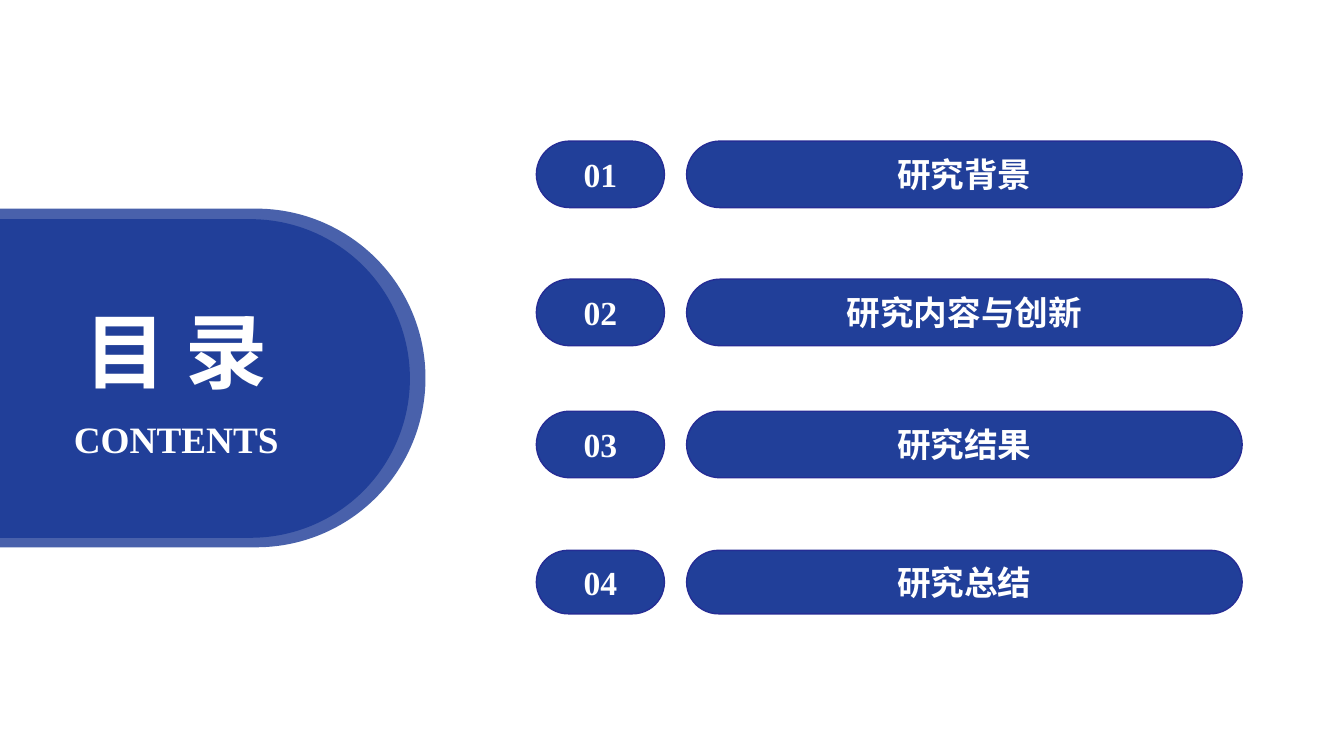
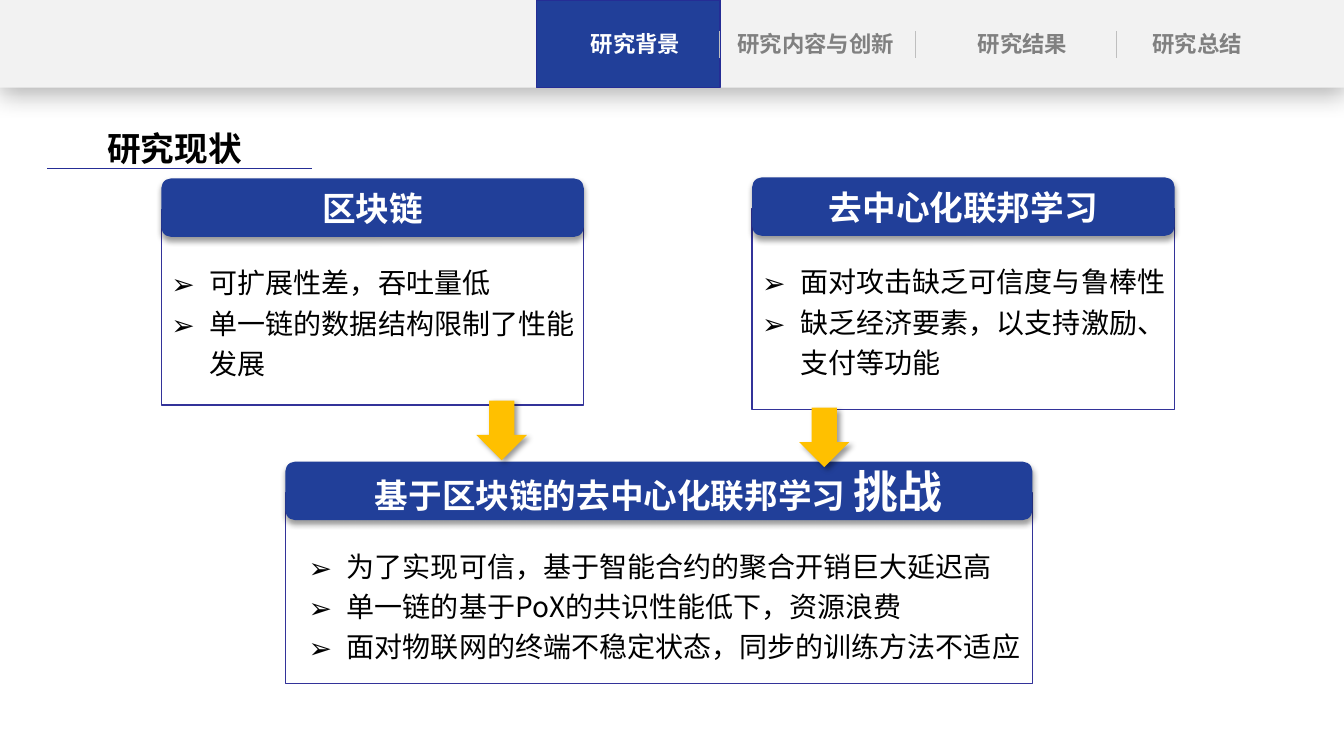
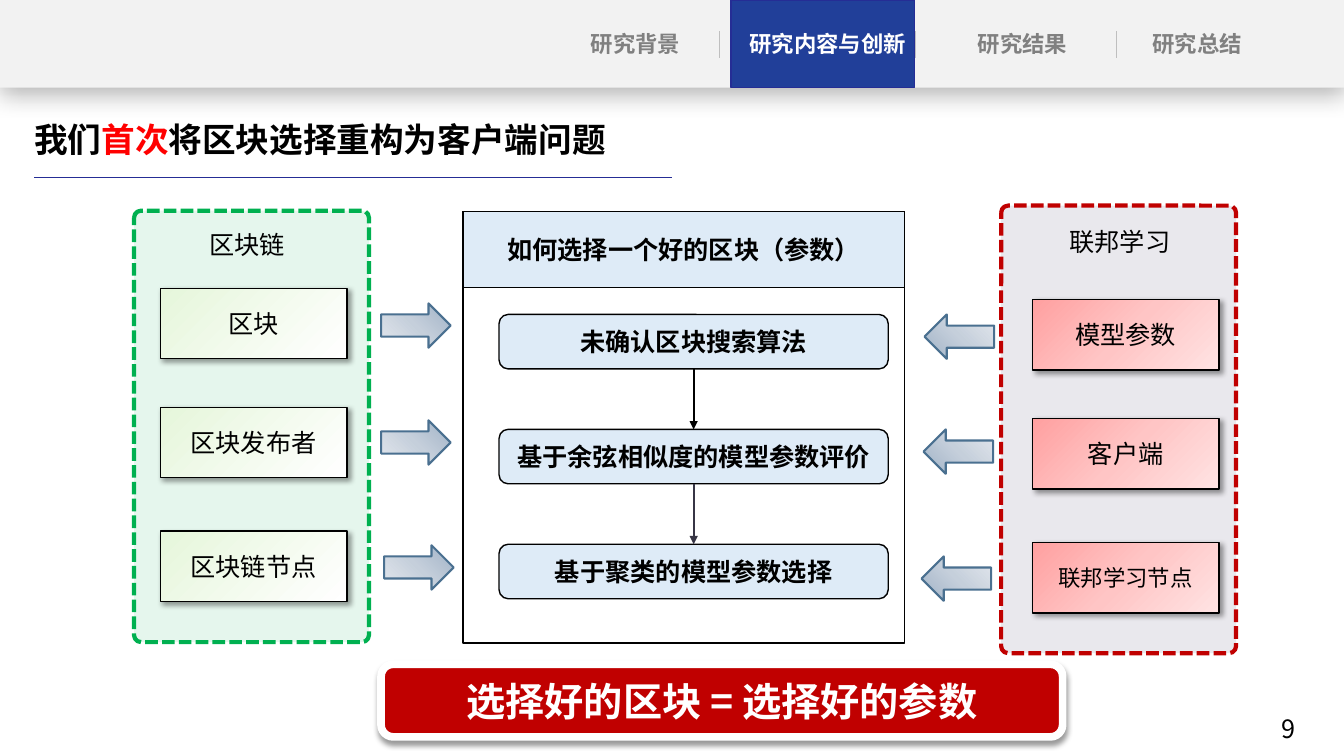
from dataclasses import dataclass, replace
from typing import NamedTuple, Optional

import lxml.etree
import pptx
import pptx.dml.color
import pptx.enum.dml
import pptx.enum.shapes
import pptx.enum.text
import pptx.oxml.ns
import pptx.util

RGBColor = pptx.dml.color.RGBColor
Align = pptx.enum.text.PP_ALIGN
Anchor = pptx.enum.text.MSO_ANCHOR
Kind = pptx.enum.shapes.MSO_SHAPE
Dash = pptx.enum.dml.MSO_LINE
qn = pptx.oxml.ns.qn

# Shared colours and fonts
BLUE = RGBColor(0x21, 0x3F, 0x99)
NAVY = RGBColor(0x25, 0x2D, 0x95)
FRAME = RGBColor(0x33, 0x33, 0x99)
WHITE = RGBColor(0xFF, 0xFF, 0xFF)
BLACK = RGBColor(0x00, 0x00, 0x00)
SLATE = RGBColor(0x37, 0x35, 0x45)
GREY = RGBColor(0x80, 0x80, 0x80)
SILVER = RGBColor(0xBF, 0xBF, 0xBF)
PALE = RGBColor(0xF2, 0xF2, 0xF2)
ICE = RGBColor(0xDE, 0xEB, 0xF7)
AMBER = RGBColor(0xFF, 0xC0, 0x00)
RED = RGBColor(0xFF, 0x00, 0x00)
CRIMSON = RGBColor(0xC0, 0x00, 0x00)
GREEN = RGBColor(0x00, 0xB0, 0x50)
LILAC = RGBColor(0xD4, 0xD3, 0xDD)
STEEL = RGBColor(0x4A, 0x70, 0x90)
MINTS = (RGBColor(0xE6, 0xF6, 0xDB), WHITE)
PINKS = (RGBColor(0xFF, 0xA0, 0xA0), RGBColor(0xFF, 0xC5, 0xC5), RGBColor(0xFF, 0xE3, 0xE3))
STEELS = (RGBColor(0xA0, 0xB2, 0xC7), RGBColor(0xC5, 0xCF, 0xDB), RGBColor(0xE3, 0xE7, 0xED))
SANS = "Noto Sans CJK SC"
SERIF = "Times New Roman"
WIDE = 13.33


class Box(NamedTuple):
    left: float
    top: float
    width: float
    height: float


class Shade(NamedTuple):
    alpha: int
    blur: int
    dist: int
    angle: int


@dataclass(frozen=True)
class Look:
    fill: Optional[RGBColor] = None
    alpha: int = 100
    stops: tuple[RGBColor, ...] = ()
    slant: int = 45
    line: Optional[RGBColor] = None
    weight: float = 1
    dash: Optional[Dash] = None
    shade: Optional[Shade] = None


@dataclass(frozen=True)
class Face:
    size: float
    color: RGBColor = BLACK
    bold: bool = True
    font: str = SANS


class Tab(NamedTuple):
    name: str
    left: float
    width: float
    lit: float
    block: float


class Panel(NamedTuple):
    left: float
    top: float
    width: float
    base: float
    shift: float
    slot: int
    head: str
    items: tuple[str, ...]


class Side(NamedTuple):
    box: Box
    look: Look
    label: str
    label_box: Box
    left: float
    stops: tuple[RGBColor, ...]
    cards: tuple[tuple[str, float, int], ...]
    arrows: tuple[tuple[float, float], ...]
    turn: int


DROP = Shade(40, 4, 3, 90)
SLOPE = Shade(40, 4, 3, 45)
PILL = Look(BLUE, line=NAVY)
HEAD = Look(BLUE, shade=DROP)
TITLE = Face(24)
LABEL = Face(24, WHITE)
PLAIN = Face(18, bold=False)
STRONG = Face(18)
POINT = Face(20, bold=False)

TABS = (
    Tab("研究背景", 5.57, 1.47, 5.57, 5.32),
    Tab("研究内容与创新", 7.19, 1.8, 7.31, 7.25),
    Tab("研究结果", 9.23, 1.82, 9.23, 9.23),
    Tab("研究总结", 11.14, 1.47, 11.14, 11.14),
)


def inches(values) -> list:
    return [pptx.util.Inches(value) for value in values]


def node(parent, tag: str, **attrs):
    return lxml.etree.SubElement(parent, qn(tag), {key: str(val) for key, val in attrs.items()})


# Text
def style(run, face: Face) -> None:
    font = run.font
    font.size = pptx.util.Pt(face.size)
    font.bold = face.bold
    font.color.rgb = face.color
    font.name = face.font
    node(run._r.get_or_add_rPr(), "a:ea", typeface=face.font)


def write(shape, text: str, face: Face, align=Align.CENTER) -> None:
    shape.text_frame.text = text
    for para in shape.text_frame.paragraphs:
        para.alignment = align
        for run in para.runs:
            style(run, face)


def extend(shape, text: str, face: Face) -> None:
    run = shape.text_frame.paragraphs[0].add_run()
    run.text = text
    style(run, face)


def settle(shape, inset: float = 0.1, wrap: bool = True) -> None:
    frame = shape.text_frame
    frame.word_wrap = wrap
    frame.auto_size = pptx.enum.text.MSO_AUTO_SIZE.NONE
    frame.vertical_anchor = Anchor.TOP
    frame.margin_left = frame.margin_right = pptx.util.Inches(inset)


def label(slide, box: Box, text: str, face: Face, align=Align.CENTER,
          inset: float = 0.1, wrap: bool = True) -> None:
    shape = slide.shapes.add_textbox(*inches(box))
    settle(shape, inset, wrap)
    write(shape, text, face, align)


def place(shape, box: Box, inset: float = 0.1, wrap: bool = True) -> None:
    """Move a placeholder and bring it to the front."""
    shape.left, shape.top, shape.width, shape.height = inches(box)
    shape.element.getparent().append(shape.element)
    settle(shape, inset, wrap)


def title(slide, box: Box, text: str, face: Face = TITLE, align=Align.CENTER, wrap: bool = True):
    shape = slide.shapes.title
    place(shape, box, 0, wrap)
    write(shape, text, face, align)
    return shape


def bullets(shape, box: Box, items: tuple[str, ...]) -> None:
    place(shape, box)
    # A slim right inset keeps the longest item on one line
    shape.text_frame.margin_right = pptx.util.Inches(0.05)
    write(shape, "\n".join(items), POINT, Align.LEFT)
    for para in shape.text_frame.paragraphs:
        para.line_spacing = 1.2
        para.space_before = pptx.util.Pt(0)
        props = para._p.get_or_add_pPr()
        hang = pptx.util.Inches(0.38)
        props.set("marL", str(hang))
        props.set("indent", str(-hang))
        node(props, "a:buFont", typeface=SANS)
        node(props, "a:buChar", char="➢")


# Shapes and lines
def draw(slide, kind: Kind, box: Box, look: Look, text: str = "", face: Face = LABEL,
         adjust: Optional[float] = None, turn: int = 0):
    shape = slide.shapes.add_shape(kind, *inches(box))
    shape.rotation = turn
    shape.shadow.inherit = False
    if adjust is not None:
        shape.adjustments[0] = adjust
    props = shape.element.spPr
    if look.stops:
        grad = lxml.etree.Element(qn("a:gradFill"), rotWithShape="1")
        stops = node(grad, "a:gsLst")
        for num, color in enumerate(look.stops):
            stop = node(stops, "a:gs", pos=num * 100000 // (len(look.stops) - 1))
            node(stop, "a:srgbClr", val=color)
        node(grad, "a:lin", ang=look.slant * 60000, scaled=0)
        props.find(qn("a:prstGeom")).addnext(grad)
    elif look.fill is None:
        shape.fill.background()
    else:
        shape.fill.solid()
        shape.fill.fore_color.rgb = look.fill
        if look.alpha < 100:
            color = props.find(qn("a:solidFill")).find(qn("a:srgbClr"))
            node(color, "a:alpha", val=look.alpha * 1000)
    if look.line is None:
        shape.line.fill.background()
    else:
        shape.line.color.rgb = look.line
        shape.line.width = pptx.util.Pt(look.weight)
        if look.dash is not None:
            shape.line.dash_style = look.dash
    if look.shade:
        cast = node(props.find(qn("a:effectLst")), "a:outerShdw",
                    blurRad=pptx.util.Pt(look.shade.blur), dist=pptx.util.Pt(look.shade.dist),
                    dir=look.shade.angle * 60000, algn="ctr", rotWithShape=0)
        node(node(cast, "a:srgbClr", val=BLACK), "a:alpha", val=look.shade.alpha * 1000)
    if text:
        shape.text_frame.vertical_anchor = Anchor.MIDDLE
        write(shape, text, face)
    return shape


def rule(slide, start: tuple[float, float], end: tuple[float, float], color: RGBColor,
         weight: float = 1, arrow: bool = False) -> None:
    line = slide.shapes.add_connector(
        pptx.enum.shapes.MSO_CONNECTOR.STRAIGHT, *inches(start + end))
    line.line.color.rgb = color
    line.line.width = pptx.util.Pt(weight)
    props = line.element.spPr
    if arrow:
        node(props.find(qn("a:ln")), "a:tailEnd", type="triangle")
    node(props, "a:effectLst")


def banner(slide, active: int) -> None:
    draw(slide, Kind.RECTANGLE, Box(0, 0, WIDE, 0.87), Look(PALE, shade=Shade(29, 18, 4, 90)))
    draw(slide, Kind.RECTANGLE, Box(TABS[active].block, 0, 1.82, 0.87), PILL)
    for left in (7.13, 9.08, 11.07):
        rule(slide, (left, 0.31), (left, 0.58), SILVER, 0.5)
    for num, tab in enumerate(TABS):
        lit = num == active
        box = Box(tab.lit if lit else tab.left, 0.25, tab.width, 0.38)
        label(slide, box, tab.name, Face(16, WHITE if lit else GREY), inset=0)


# Contents
def contents(deck) -> None:
    slide = deck.slides.add_slide(deck.slide_layouts[5])
    draw(slide, Kind.ROUNDED_RECTANGLE, Box(-1.96, 2.07, 6.18, 3.36), Look(BLUE, alpha=82), adjust=0.5)
    draw(slide, Kind.ROUNDED_RECTANGLE, Box(-1.7, 2.19, 5.75, 3.13),
         Look(BLUE, line=BLUE, weight=2.25), adjust=0.5)
    rows = ((1.4, 0.66), (2.77, 0.66), (4.08, 0.66), (5.46, 0.63))
    for num, (tab, (top, height)) in enumerate(zip(TABS, rows), 1):
        draw(slide, Kind.ROUNDED_RECTANGLE, Box(5.32, top, 1.27, height), PILL,
             f"{num:02}", replace(LABEL, font=SERIF), 0.5)
        draw(slide, Kind.ROUNDED_RECTANGLE, Box(6.81, top, 5.51, height), PILL, tab.name, adjust=0.5)
    label(slide, Box(0.62, 4.08, 2.26, 0.55), "CONTENTS", Face(26.6, WHITE, font=SERIF), wrap=False)
    title(slide, Box(0.7, 2.93, 2.09, 1.09), "目 录", Face(58.6, WHITE), wrap=False)


# Background
PANELS = (
    Panel(1.6, 1.77, 4.19, 4.02, 0, 2, "区块链",
          ("可扩展性差，吞吐量低", "单一链的数据结构限制了性能发展")),
    Panel(7.46, 1.76, 4.19, 4.06, 0, 4, "去中心化联邦学习",
          ("面对攻击缺乏可信度与鲁棒性", "缺乏经济要素，以支持激励、支付等功能")),
    Panel(2.83, 4.58, 7.41, 6.78, 0.13, 1, "基于区块链的去中心化联邦学习 ",
          ("为了实现可信，基于智能合约的聚合开销巨大延迟高",
           "单一链的基于PoX的共识性能低下，资源浪费",
           "面对物联网的终端不稳定状态，同步的训练方法不适应")),
)


def status(deck) -> None:
    slide = deck.slides.add_slide(deck.slide_layouts[4])
    slots = {slot.placeholder_format.idx: slot for slot in slide.placeholders}
    spare = slots[3].element
    spare.getparent().remove(spare)
    banner(slide, 0)
    title(slide, Box(0.63, 1.22, 2.2, 0.51), "研究现状")
    rule(slide, (0.47, 1.67), (3.09, 1.67), NAVY)
    for panel in PANELS:
        left, top, width = panel.left, panel.top, panel.width
        draw(slide, Kind.RECTANGLE, Box(left, top + 0.31, width, panel.base - top - 0.31),
             Look(line=FRAME))
        bullets(slots[panel.slot], Box(left + panel.shift, top + 0.75, width, 1.28), panel.items)
        head = draw(slide, Kind.ROUNDED_RECTANGLE, Box(left, top, width, 0.58), HEAD, panel.head)
    extend(head, "挑战", Face(32, WHITE))
    for left, top in ((4.68, 4.02), (7.88, 4.09)):
        draw(slide, Kind.RIGHT_ARROW, Box(left, top, 0.59, 0.5), Look(AMBER, shade=SLOPE), turn=90)


# Method
SIDES = (
    Side(Box(1.33, 2.09, 2.33, 4.28),
         Look(GREEN, 10, line=GREEN, weight=3, dash=Dash.SQUARE_DOT),
         "区块链", Box(1.98, 2.23, 1.03, 0.4), 1.59, MINTS,
         (("区块", 2.86, 18), ("区块发布者", 4.04, 18), ("区块链节点", 5.27, 18)),
         ((3.78, 3.01), (3.78, 4.17), (3.81, 5.41)), 0),
    Side(Box(9.93, 2.04, 2.33, 4.44),
         Look(LILAC, 50, line=CRIMSON, weight=3, dash=Dash.SQUARE_DOT),
         "联邦学习", Box(10.51, 2.2, 1.31, 0.4), 10.24, PINKS,
         (("模型参数", 2.97, 18), ("客户端", 4.15, 18), ("联邦学习节点", 5.38, 16)),
         ((9.17, 3.12), (9.16, 4.26), (9.14, 5.52)), 180),
)
STEPS = ("未确认区块搜索算法", "基于余弦相似度的模型参数评价", "基于聚类的模型参数选择")


def method(deck) -> None:
    slide = deck.slides.add_slide(deck.slide_layouts[5])
    banner(slide, 1)
    head = title(slide, Box(0.34, 1.13, 8.04, 0.51), "我们", align=Align.LEFT)
    extend(head, "首次", Face(24, RED))
    extend(head, "将区块选择重构为客户端问题", TITLE)
    rule(slide, (0.34, 1.76), (6.67, 1.76), NAVY)

    # Both sides feed the middle
    for side in SIDES:
        draw(slide, Kind.ROUNDED_RECTANGLE, side.box, side.look, adjust=0.03)
        label(slide, side.label_box, side.label, PLAIN, Align.LEFT)
        card = Look(stops=side.stops, line=BLACK, shade=SLOPE)
        for text, top, size in side.cards:
            draw(slide, Kind.PARALLELOGRAM, Box(side.left, top, 1.85, 0.7), card, text,
                 replace(PLAIN, size=size), 0)
        for left, top in side.arrows:
            draw(slide, Kind.RIGHT_ARROW, Box(left, top, 0.69, 0.44),
                 Look(stops=STEELS, slant=135, line=STEEL, weight=1.5), turn=side.turn)

    # Steps in the middle
    pale = Look(ICE, line=BLACK)
    draw(slide, Kind.RECTANGLE, Box(4.59, 2.1, 4.38, 4.28), Look(WHITE, line=BLACK))
    draw(slide, Kind.ROUNDED_RECTANGLE, Box(4.59, 2.1, 4.38, 0.75), pale,
         "如何选择一个好的区块（参数）", STRONG, 0)
    first, pitch, height = 3.12, 1.14, 0.54
    for num, text in enumerate(STEPS):
        top = first + num * pitch
        draw(slide, Kind.ROUNDED_RECTANGLE, Box(4.95, top, 3.86, height), pale, text, STRONG)
        if num:
            rule(slide, (6.88, top - pitch + height), (6.88, top),
                 BLACK if num == 1 else SLATE, 1.5, True)

    draw(slide, Kind.ROUNDED_RECTANGLE, Box(3.78, 6.59, 6.76, 0.72),
         Look(CRIMSON, line=WHITE, weight=5.5, shade=DROP),
         "选择好的区块 = 选择好的参数", Face(28, WHITE))
    label(slide, Box(12.61, 7.03, 1.02, 0.4), "9", PLAIN, Align.LEFT)


def main() -> None:
    deck = pptx.Presentation()
    deck.slide_width, deck.slide_height = inches((WIDE, 7.5))
    for build in (contents, status, method):
        build(deck)
    deck.save("out.pptx")


if __name__ == "__main__":
    main()
